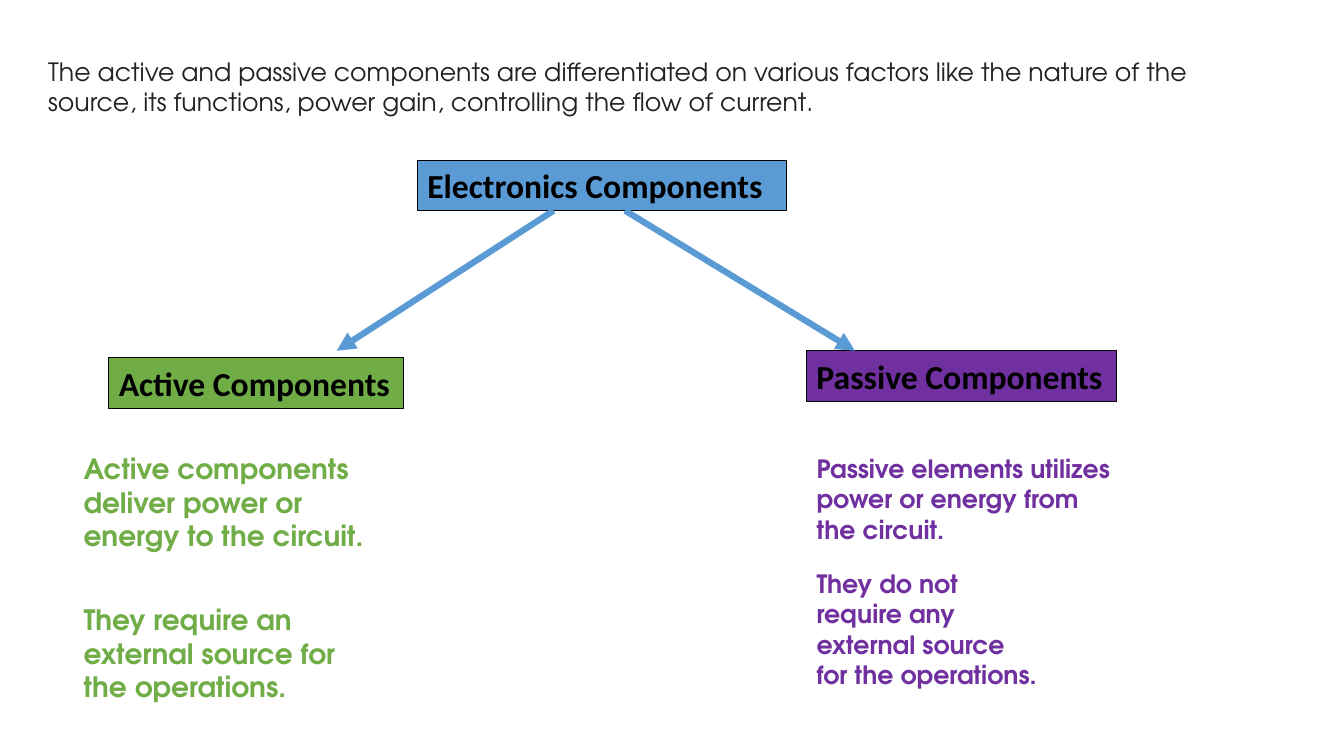
from lxml import etree
from pptx import Presentation
from pptx import util as u
from pptx.dml.color import RGBColor
from pptx.enum import shapes, text
from pptx.oxml.ns import qn

COLOURS = {
    "blue": "5B9BD5",
    "green": "70AD47",
    "purple": "7030A0",
    "black": "000000",
    "ink": "222222",
}


class ComponentSlide:
    heading_font = "Calibri"
    body_font = "TeX Gyre Adventor"

    def __init__(self, slide):
        self.shapes = slide.shapes

    def colour(self, name):
        return RGBColor.from_string(COLOURS[name])

    def set_words(self, frame, words, font, size, colour, bold, wrap=True):
        frame.text = words
        frame.word_wrap = wrap
        frame.auto_size = text.MSO_AUTO_SIZE.SHAPE_TO_FIT_TEXT
        frame.vertical_anchor = text.MSO_ANCHOR.TOP
        paragraph = frame.paragraphs[0]
        paragraph.alignment = text.PP_ALIGN.LEFT
        style = paragraph.runs[0].font
        style.name, style.size, style.bold = font, u.Pt(size), bold
        style.color.rgb = self.colour(colour)

    def heading(self, words, left, top, width, fill, wrap=False):
        box = self.shapes.add_shape(
            shapes.MSO_SHAPE.RECTANGLE,
            u.Inches(left), u.Inches(top), u.Inches(width), u.Inches(0.5))
        box.shadow.inherit = False
        box.fill.solid()
        box.fill.fore_color.rgb = self.colour(fill)
        box.line.color.rgb = self.colour("black")
        box.line.width = u.Pt(0.75)
        self.set_words(box.text_frame, words, self.heading_font, 24, "black", True, wrap)

    def body(self, words, left, top, width, height, size, colour, bold=True):
        box = self.shapes.add_textbox(
            u.Inches(left), u.Inches(top), u.Inches(width), u.Inches(height))
        self.set_words(box.text_frame, words, self.body_font, size, colour, bold)

    def arrow(self, start, end):
        branch = self.shapes.add_connector(
            shapes.MSO_CONNECTOR.STRAIGHT, *map(u.Inches, start + end))
        branch.line.color.rgb = self.colour("blue")
        branch.line.width = u.Pt(4.5)
        properties = branch.element.spPr
        etree.SubElement(properties.find(qn("a:ln")), qn("a:tailEnd"), type="triangle")
        etree.SubElement(properties, qn("a:effectLst"))


def main():
    deck = Presentation()
    deck.slide_width, deck.slide_height = u.Inches(13.33), u.Inches(7.5)
    page = ComponentSlide(deck.slides.add_slide(deck.slide_layouts[6]))

    # Headings of the tree
    page.heading("Electronics Components", 4.14, 1.59, 3.66, "blue", wrap=True)
    page.heading("Active Components", 1.08, 3.55, 2.92, "green")
    page.heading("Passive Components", 8, 3.48, 3.07, "purple")

    # Introduction
    page.body("The active and passive components are differentiated on various "
              "factors like the nature of the source, its functions, power gain, "
              "controlling the flow of current.",
              0.38, 0.51, 12.35, 0.71, 18, "ink", bold=False)

    # Active components
    page.body("Active components deliver power or energy to the circuit.",
              0.73, 4.43, 2.99, 1.11, 20, "green")
    page.body("They require an external source for the operations.",
              0.73, 5.93, 2.72, 1.11, 20, "green")

    # Passive components
    page.body("Passive elements utilizes power or energy from the circuit.",
              8, 4.45, 3.19, 1.01, 18, "purple")
    page.body("They do not require any external source for the operations.",
              8, 5.59, 2.41, 1.31, 18, "purple")

    # Branches from the root heading
    page.arrow((5.49, 2.09), (3.34, 3.48))
    page.arrow((6.2, 2.09), (8.48, 3.48))

    deck.save("out.pptx")


if __name__ == "__main__":
    main()
